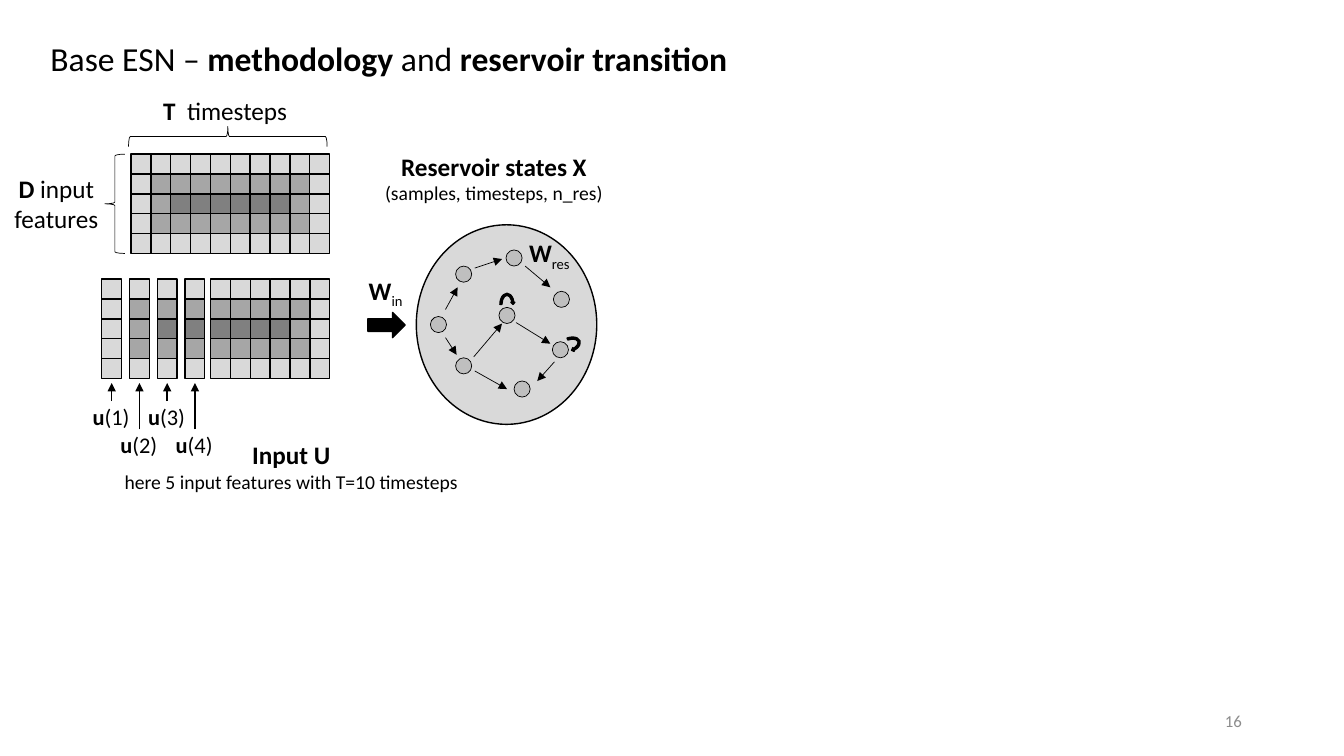
import dataclasses

import pptx
import pptx.dml.color
import pptx.enum.shapes
import pptx.enum.text
import pptx.oxml
import pptx.oxml.ns
import pptx.util

SHAPE = pptx.enum.shapes.MSO_SHAPE
ALIGN = pptx.enum.text.PP_ALIGN
ANCHOR = pptx.enum.text.MSO_ANCHOR
FIT = pptx.enum.text.MSO_AUTO_SIZE


@dataclasses.dataclass(frozen=True)
class Theme:
    font: str = "Calibri"
    ink: str = "000000"
    muted: str = "8C8C8C"
    neuron: str = "BFBFBF"
    shades: tuple = ("D9D9D9", "A6A6A6", "808080")
    title: int = 24
    label: int = 18
    step: int = 16
    note: int = 14
    number: int = 12
    thin: float = 0.5
    bold: float = 1


def rgb(color):
    return pptx.dml.color.RGBColor.from_string(color)


def grid(*units):
    return [pptx.util.Inches(u / 10) for u in units]


def write(p, text, size, color, font, bold=False, subscript=False):
    r = p.add_run()
    r.text = text
    r.font.size = pptx.util.Pt(size)
    r.font.name = font
    r.font.bold = bold
    r.font.color.rgb = rgb(color)
    if subscript:
        r.font._element.set("baseline", "-25000")


class Diagram:
    def __init__(self, slide, theme):
        self.slide = slide
        self.theme = theme

    def fill_text(self, sp, lines, color=None, align=ALIGN.LEFT, anchor=ANCHOR.TOP, fit=FIT.SHAPE_TO_FIT_TEXT):
        tf = sp.text_frame
        tf.word_wrap = True
        tf.auto_size = fit
        tf.vertical_anchor = anchor
        for i, (text, size) in enumerate(lines):
            p = tf.add_paragraph() if i else tf.paragraphs[0]
            p.alignment = align
            for j, part in enumerate(text.split("*")):
                if part:
                    write(p, part.lstrip("~"), size, color or self.theme.ink, self.theme.font,
                          bold=j % 2 == 1, subscript=part.startswith("~"))

    def title(self, box, text):
        sp = self.slide.shapes.title
        sp.left, sp.top, sp.width, sp.height = grid(*box)
        self.fill_text(sp, [(text, self.theme.title)], fit=FIT.NONE)

    def text(self, box, *lines, **fmt):
        self.fill_text(self.slide.shapes.add_textbox(*grid(*box)), lines, **fmt)

    def shape(self, kind, box, fill=None, width=None, rotation=0):
        sp = self.slide.shapes.add_shape(kind, *grid(*box))
        sp.shadow.inherit = False
        sp.rotation = rotation
        if fill:
            sp.fill.solid()
            sp.fill.fore_color.rgb = rgb(fill)
        else:
            sp.fill.background()
        sp.line.color.rgb = rgb(self.theme.ink)
        sp.line.width = pptx.util.Pt(width or self.theme.bold)

    def arrow(self, start, end, width):
        sp = self.slide.shapes.add_connector(
            pptx.enum.shapes.MSO_CONNECTOR.STRAIGHT, *grid(*start, *end))
        sp.line.color.rgb = rgb(self.theme.ink)
        sp.line.width = pptx.util.Pt(width)
        tail = pptx.oxml.parse_xml(f'<a:tailEnd {pptx.oxml.ns.nsdecls("a")} type="triangle"/>')
        sp.line._get_or_add_ln().append(tail)
        effects = pptx.oxml.parse_xml(f'<a:effectLst {pptx.oxml.ns.nsdecls("a")}/>')
        sp._element.spPr.append(effects)

    def matrix(self, lefts, top, rows, cell):
        for row in range(rows):
            for col, left in enumerate(lefts):
                ring = min(row, col, rows - 1 - row, len(lefts) - 1 - col)
                self.shape(SHAPE.RECTANGLE, (left, top + row * cell, cell, cell), self.theme.shades[ring])


FEATURES, TIMESTEPS, SPLIT = 5, 10, 4
CELL, SPLIT_STEP, NEURON = 1.97, 2.75, 1.6
NEURONS = [(42.7, 31.4), (45.2, 26.4), (50.2, 24.8), (54.9, 28.9),
           (49.5, 30.5), (45.2, 35.5), (51, 37.8), (54.8, 33.9)]
LINKS = [((47.1, 26.6), (49.8, 25.7)), ((47, 35.4), (49.8, 32.1)),
         ((44.2, 30.7), (45.4, 28.5)), ((44.2, 33.5), (45.3, 35.2)),
         ((51.2, 32), (54.6, 34.1)), ((52.1, 26.4), (54.6, 28.5)),
         ((47.1, 36.8), (50.3, 38.6)), ((55, 35.9), (53.3, 37.8))]
LOOPS = [(49.5, 29, 0), (55.7, 33, 70)]


def draw_reservoir(d):
    t = d.theme
    d.shape(SHAPE.OVAL, (41.3, 22.3, 17.9, 19.8), t.shades[0])
    for left, top in NEURONS:
        d.shape(SHAPE.OVAL, (left, top, NEURON, NEURON), t.neuron, t.thin)
    for start, end in LINKS:
        d.arrow(start, end, t.thin)
    for left, top, rotation in LOOPS:
        d.shape(SHAPE.CIRCULAR_ARROW, (left, top, NEURON, 2.4), t.ink, rotation=rotation)
    d.text((35.6, 26.8, 5.7, 4), ("*W*~in", t.label))
    d.shape(SHAPE.RIGHT_ARROW, (36.5, 31, 3.7, 2.5), t.ink)
    d.text((51.5, 23.1, 7.3, 4), ("*W*~res", t.label))
    d.text((30.9, 14.5, 36.2, 6.4), ("*Reservoir states X*", t.label),
           ("(samples, timesteps, n_res)", t.note), align=ALIGN.CENTER)


def draw_input(d):
    t = d.theme
    d.matrix([13 + col * CELL for col in range(TIMESTEPS)], 15.3, FEATURES, CELL)
    d.shape(SHAPE.LEFT_BRACE, (10.4, 15.3, 2, FEATURES * CELL), width=t.thin)
    d.text((-0.2, 16.7, 11.6, 7.1), ("*D *input features", t.label), align=ALIGN.CENTER)
    d.shape(SHAPE.LEFT_BRACE, (21.6, 3.7, 2, TIMESTEPS * CELL), width=t.thin, rotation=90)
    d.text((15.2, 9, 18.8, 4), ("*T  *timesteps", t.label))

    split = [10.1 + i * SPLIT_STEP for i in range(SPLIT)]
    rest = [20.9 + i * CELL for i in range(TIMESTEPS - SPLIT)]
    d.matrix(split + rest, 27.7, FEATURES, CELL)
    for i, left in enumerate(split):
        drop = i % 2 * 2.8
        d.text((left - 1.9, 39.5 + drop, 18.8, 3.7), (f"*u*({i + 1})", t.step))
        center = left + CELL / 2
        d.arrow((center, 39.8 + drop), (center, 38), t.bold)
    d.text((10.8, 43.1, 36.2, 6.4), ("*Input U*", t.label),
           ("here 5 input features with T=10 timesteps", t.note), align=ALIGN.CENTER)


def main():
    prs = pptx.Presentation()
    prs.slide_width, prs.slide_height = grid(133.33, 75)
    d = Diagram(prs.slides.add_slide(prs.slide_layouts[5]), Theme())
    d.title((4, 3.3, 73, 5), "Base ESN – *methodology *and *reservoir transition*")
    draw_reservoir(d)
    draw_input(d)
    d.text((94.2, 69.5, 30, 4), ("16", d.theme.number), color=d.theme.muted,
           align=ALIGN.RIGHT, anchor=ANCHOR.MIDDLE, fit=FIT.NONE)
    prs.save("out.pptx")


if __name__ == "__main__":
    main()
